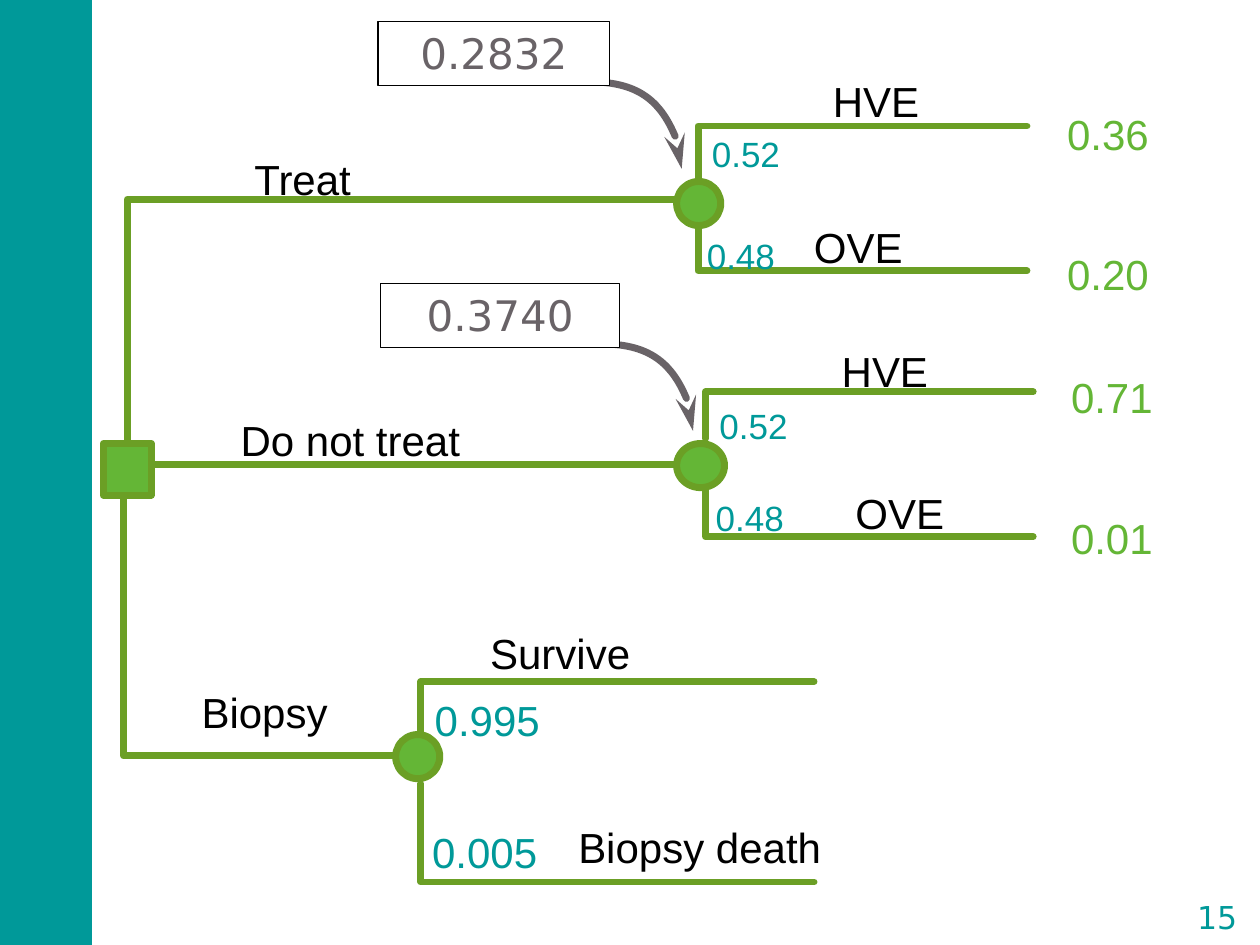
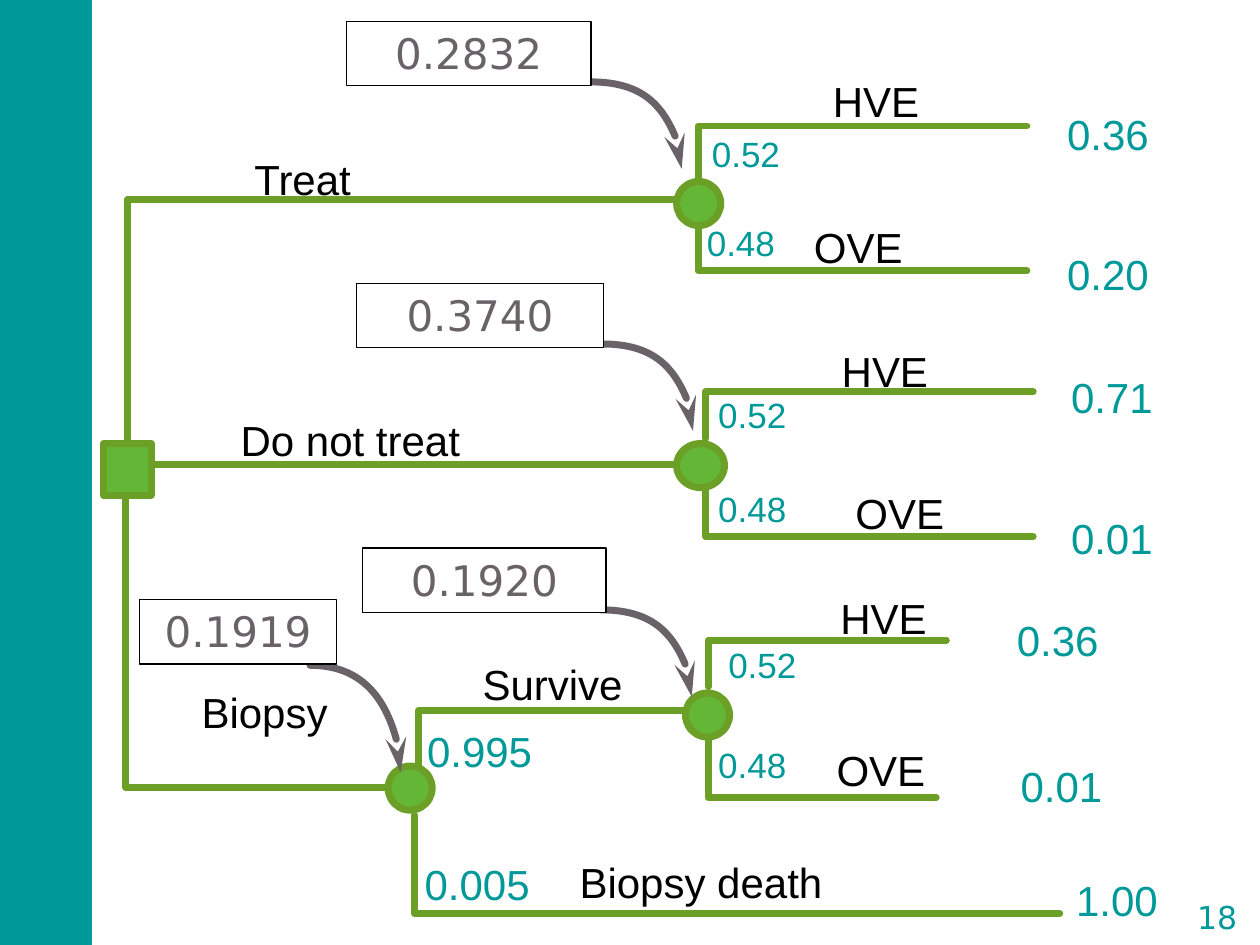
"""Build two decision-tree slides comparing treatment, no treatment and biopsy."""
from dataclasses import dataclass
from typing import NamedTuple

from lxml.etree import SubElement
from pptx import Presentation
from pptx.dml.color import RGBColor
from pptx.enum.shapes import MSO_SHAPE
from pptx.enum.text import MSO_ANCHOR, MSO_AUTO_SIZE, PP_ALIGN
from pptx.oxml.ns import qn
from pptx.shapes.autoshape import Shape
from pptx.slide import Slide
from pptx.util import Emu, Pt

PX = 9144
SLIDE_WIDTH, SLIDE_HEIGHT = 1000, 750
NODE_SIZE = 35
CALLOUT_HEIGHT = 51
ARROW_WIDTH = 72
PAYOFF_WIDTH = 85
TREE_LINE = Pt(4)

TEAL = RGBColor(0x00, 0x99, 0x99)
OLIVE = RGBColor(0x6B, 0x9F, 0x25)
GREEN = RGBColor(0x64, 0xB6, 0x36)
GRAY = RGBColor(0x69, 0x63, 0x67)
BLACK = RGBColor(0x00, 0x00, 0x00)
WHITE = RGBColor(0xFF, 0xFF, 0xFF)

LABEL_FONT = "Arial"
NUMBER_FONT = "DejaVu Sans"


class Style(NamedTuple):
    size: int
    color: RGBColor
    height: int


OPTION = Style(24, BLACK, 46)
CHANCE = Style(20, TEAL, 40)
BIOPSY_CHANCE = Style(24, TEAL, 47)


class Branch(NamedTuple):
    """An elbow that runs up or down and then across."""
    left: int
    start: int
    level: int
    right: int


class Node(NamedTuple):
    left: int
    top: int
    width: int = NODE_SIZE
    height: int = NODE_SIZE
    preset: MSO_SHAPE = MSO_SHAPE.OVAL


class Label(NamedTuple):
    text: str
    left: int
    top: int
    width: int
    style: Style = OPTION
    wrap: bool = True


class Payoff(NamedTuple):
    text: str
    left: int
    top: int


class Callout(NamedTuple):
    """An expected value with a curved arrow to its node."""
    text: str
    left: int
    top: int
    width: int
    arrow_left: int
    arrow_top: int
    arrow_height: int = 69


@dataclass
class Tree:
    number: str
    payoff_color: RGBColor
    branches: list[Branch]
    nodes: list[Node]
    labels: list[Label]
    payoffs: list[Payoff]
    callouts: list[Callout]


SHARED_BRANCHES = [
    Branch(95, 383, 369, 564),
    Branch(554, 142, 100, 815),
    Branch(554, 162, 215, 815),
    Branch(560, 348, 311, 820),
    Branch(560, 372, 426, 820),
    Branch(101, 379, 158, 560),
]
SHARED_NODES = [
    Node(537, 352, 38),
    Node(82, 352, 38, 41, MSO_SHAPE.RECTANGLE),
    Node(537, 144),
]
SHARED_LABELS = [
    Label("Treat", 196, 119, 90, wrap=False),
    Label("Do not treat", 185, 326, 206),
    Label("Biopsy", 154, 542, 113, wrap=False),
    Label("HVE", 655, 57, 82, wrap=False),
    Label("OVE", 640, 173, 104),
    Label("HVE", 662, 271, 82, wrap=False),
    Label("OVE", 673, 384, 104),
    Label("0.52", 559, 102, 87, CHANCE),
]
SHARED_PAYOFFS = [
    Payoff("0.36", 841, 83),
    Payoff("0.20", 841, 194),
    Payoff("0.71", 844, 292),
    Payoff("0.01", 844, 404),
]

TREES = [
    Tree(
        number="15",
        payoff_color=GREEN,
        branches=[
            Branch(98, 383, 600, 321),
            Branch(334, 587, 541, 646),
            Branch(334, 622, 700, 646),
        ],
        nodes=[Node(314, 583)],
        labels=[
            Label("0.48", 555, 183, 73, CHANCE),
            Label("0.52", 565, 318, 67, CHANCE),
            Label("0.48", 562, 391, 77, CHANCE),
            Label("0.995", 339, 548, 99, BIOPSY_CHANCE),
            Label("0.005", 337, 653, 101, BIOPSY_CHANCE),
            Label("Survive", 383, 495, 175),
            Label("Biopsy death", 453, 649, 207, wrap=False),
        ],
        payoffs=[],
        callouts=[
            Callout("0.2832", 300, 17, 184, 469, 65),
            Callout("0.3740", 302, 225, 190, 478, 273),
        ],
    ),
    Tree(
        number="18",
        payoff_color=TEAL,
        branches=[
            Branch(100, 383, 625, 323),
            Branch(332, 610, 564, 552),
            Branch(329, 647, 725, 841),
            Branch(562, 545, 508, 751),
            Branch(562, 579, 633, 743),
        ],
        nodes=[Node(308, 608), Node(544, 550)],
        labels=[
            Label("0.48", 555, 173, 73, CHANCE),
            Label("0.52", 564, 309, 67, CHANCE),
            Label("0.48", 564, 384, 77, CHANCE),
            Label("0.995", 333, 573, 107, BIOPSY_CHANCE),
            Label("0.005", 331, 678, 109, BIOPSY_CHANCE),
            Label("Survive", 377, 520, 165),
            Label("Biopsy death", 454, 677, 207, wrap=False),
            Label("0.52", 572, 508, 79, CHANCE),
            Label("0.48", 564, 587, 73, CHANCE),
            Label("HVE", 661, 467, 91, wrap=False),
            Label("OVE", 658, 588, 104),
        ],
        payoffs=[
            Payoff("0.36", 801, 485),
            Payoff("0.01", 804, 601),
            Payoff("1.00", 848, 691),
        ],
        callouts=[
            Callout("0.2832", 275, 17, 194, 469, 65),
            Callout("0.3740", 283, 225, 196, 478, 273),
            Callout("0.1920", 288, 435, 193, 477, 484),
            Callout("0.1919", 111, 476, 156, 246, 528, 85),
        ],
    ),
]


def scaled(*lengths: int) -> list[Emu]:
    return [Emu(length * PX) for length in lengths]


def add_filled_shape(slide: Slide, preset: MSO_SHAPE, bounds: tuple[int, int, int, int],
                     color: RGBColor) -> Shape:
    shape = slide.shapes.add_shape(preset, *scaled(*bounds))
    shape.shadow.inherit = False
    shape.fill.solid()
    shape.fill.fore_color.rgb = color
    shape.line.fill.background()
    return shape


def set_line(shape: Shape, color: RGBColor, width: Pt) -> None:
    shape.line.color.rgb = color
    shape.line.width = width


def write_text(shape: Shape, text: str, size: int, color: RGBColor, font_name: str,
               margins: tuple[int, int], alignment: PP_ALIGN = PP_ALIGN.LEFT) -> None:
    frame = shape.text_frame
    frame.word_wrap = True
    frame.margin_left = frame.margin_right = Emu(margins[0] * PX)
    frame.margin_top = frame.margin_bottom = Emu(margins[1] * PX)
    paragraph = frame.paragraphs[0]
    paragraph.text = text
    paragraph.alignment = alignment
    paragraph.font.size = Pt(size)
    paragraph.font.name = font_name
    paragraph.font.color.rgb = color


def add_open_line(slide: Slide, points: list[tuple[int, int]], color: RGBColor) -> Shape:
    builder = slide.shapes.build_freeform(*points[0], scale=PX)
    builder.add_line_segments(points[1:], close=False)
    shape = builder.convert_to_shape()
    shape.shadow.inherit = False
    shape.fill.background()
    set_line(shape, color, TREE_LINE)
    outline = shape.element.spPr.find(qn("a:ln"))
    outline.set("cap", "rnd")
    SubElement(outline, qn("a:round"))
    return shape


def add_branch(slide: Slide, branch: Branch) -> None:
    corner = (branch.left, branch.level)
    add_open_line(slide, [(branch.left, branch.start), corner, (branch.right, branch.level)], OLIVE)


def add_node(slide: Slide, node: Node) -> None:
    shape = add_filled_shape(slide, node.preset, node[:4], GREEN)
    set_line(shape, OLIVE, TREE_LINE)


def add_label(slide: Slide, label: Label) -> None:
    style = label.style
    box = slide.shapes.add_textbox(*scaled(label.left, label.top, label.width, style.height))
    write_text(box, label.text, style.size, style.color, LABEL_FONT, (6, 3))
    box.text_frame.word_wrap = label.wrap
    box.text_frame.auto_size = MSO_AUTO_SIZE.SHAPE_TO_FIT_TEXT


def add_arrow(slide: Slide, left: int, top: int, height: int) -> None:
    shape = add_open_line(slide, [(left, top), (left + ARROW_WIDTH, top + height)], GRAY)
    segment = shape.element.spPr.find(".//" + qn("a:lnTo"))
    segment.tag, curve = segment.tag, SubElement(segment.getparent(), qn("a:cubicBezTo"))
    controls = [(round(ARROW_WIDTH * 0.55), 0), (ARROW_WIDTH, round(height * 0.45)),
                (ARROW_WIDTH, height)]
    for x, y in controls:
        SubElement(curve, qn("a:pt"), x=str(x), y=str(y))
    segment.getparent().remove(segment)
    outline = shape.element.spPr.find(qn("a:ln"))
    SubElement(outline, qn("a:tailEnd"), type="stealth", w="med", len="lg")


def add_callout(slide: Slide, callout: Callout) -> None:
    add_arrow(slide, callout.arrow_left, callout.arrow_top, callout.arrow_height)
    bounds = (callout.left, callout.top, callout.width, CALLOUT_HEIGHT)
    box = add_filled_shape(slide, MSO_SHAPE.RECTANGLE, bounds, WHITE)
    set_line(box, BLACK, Pt(0.75))
    write_text(box, callout.text, 24, GRAY, NUMBER_FONT, (10, 5), PP_ALIGN.CENTER)
    box.text_frame.vertical_anchor = MSO_ANCHOR.TOP
    box.text_frame.auto_size = MSO_AUTO_SIZE.SHAPE_TO_FIT_TEXT


def add_slide_number(slide: Slide, number: str) -> None:
    box = slide.shapes.add_textbox(*scaled(936, 706, 60, 43))
    write_text(box, number, 18, TEAL, NUMBER_FONT, (0, 0), PP_ALIGN.CENTER)
    box.text_frame.vertical_anchor = MSO_ANCHOR.MIDDLE


def draw_tree(slide: Slide, tree: Tree) -> None:
    add_filled_shape(slide, MSO_SHAPE.RECTANGLE, (-2, 0, 75, SLIDE_HEIGHT), TEAL)
    for branch in SHARED_BRANCHES + tree.branches:
        add_branch(slide, branch)
    for node in SHARED_NODES + tree.nodes:
        add_node(slide, node)
    for label in SHARED_LABELS + tree.labels:
        add_label(slide, label)
    payoff_style = Style(24, tree.payoff_color, 47)
    for payoff in SHARED_PAYOFFS + tree.payoffs:
        add_label(slide, Label(*payoff, PAYOFF_WIDTH, payoff_style))
    for callout in tree.callouts:
        add_callout(slide, callout)
    add_slide_number(slide, tree.number)


def main() -> None:
    presentation = Presentation()
    presentation.slide_width, presentation.slide_height = scaled(SLIDE_WIDTH, SLIDE_HEIGHT)
    for tree in TREES:
        draw_tree(presentation.slides.add_slide(presentation.slide_layouts[6]), tree)
    presentation.save("out.pptx")


if __name__ == "__main__":
    main()
